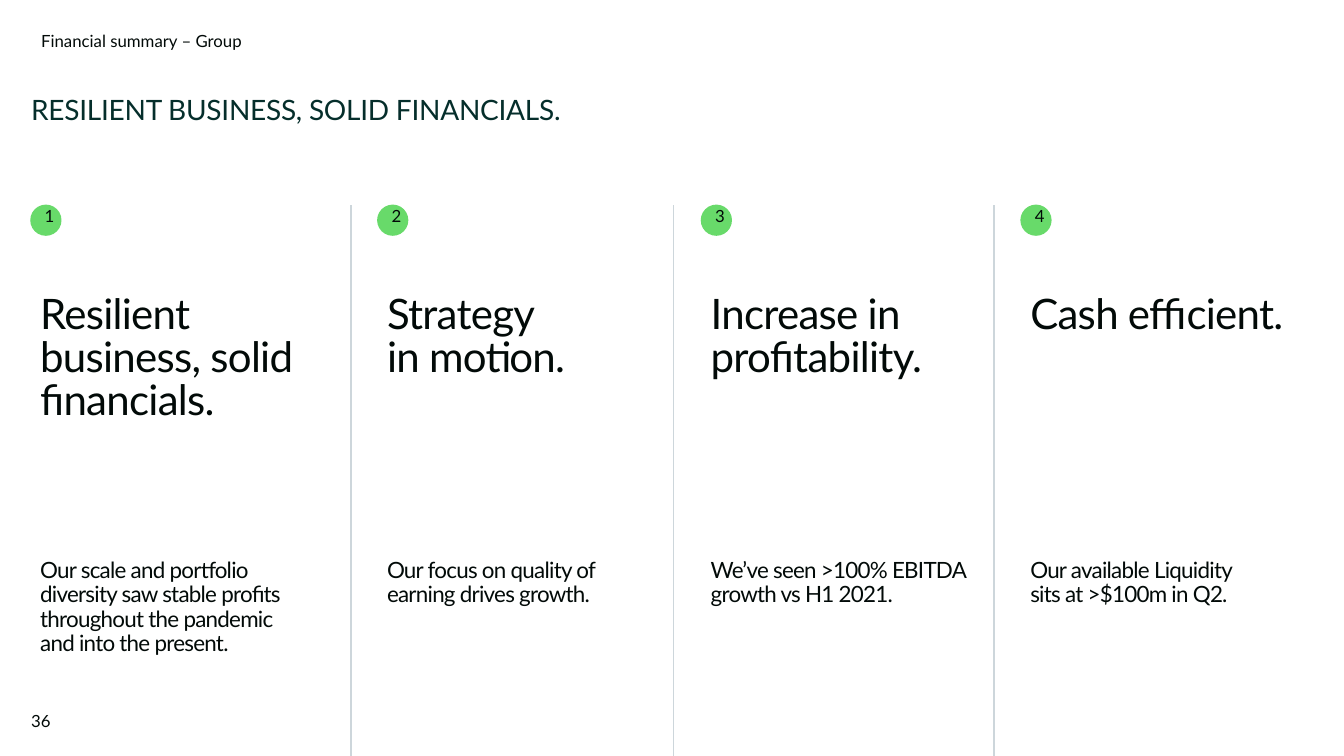
import pptx
import pptx.dml.color
import pptx.enum.shapes
import pptx.enum.text
import pptx.oxml
import pptx.util
from pptx.util import Inches

SECTION = "Financial summary – Group"
TITLE = "RESILIENT BUSINESS, SOLID FINANCIALS."
PAGE_NUMBER = "36"
# left edge, heading, message ("\v" breaks the line)
PILLARS = [
    (0.3, "Resilient business, solid financials.",
     "Our scale and portfolio\vdiversity saw stable profits throughout the pandemic\vand into the present."),
    (3.74, "Strategy\vin motion.", "Our focus on quality of earning drives growth."),
    (6.95, "Increase in profitability.", "We’ve seen >100% EBITDA growth vs H1 2021."),
    (10.12, "Cash efficient.", "Our available Liquidity\vsits at >$100m in Q2."),
]
DIVIDERS = [3.48, 6.68, 9.86]

SLIDE_WIDTH, SLIDE_HEIGHT = 13.33, 7.5
PILLAR_TOP, HEADING_TOP, MESSAGE_TOP = 2.03, 2.88, 5.5
PILLAR_WIDTH, BADGE_SIZE = 2.95, 0.31
INK, TITLE_GREEN, BADGE_GREEN, DIVIDER_GREY = "020A08", "052E2B", "68DA6A", "CDD6DB"

TEXT_INSETS = (0.1, 0.05, 0.1, 0.05)
BADGE_INSETS = (0.1, 0, 0.1, 0.05)
NO_INSETS = (0, 0, 0, 0)
MIDDLE = pptx.enum.text.MSO_ANCHOR.MIDDLE
GROW = pptx.enum.text.MSO_AUTO_SIZE.SHAPE_TO_FIT_TEXT

HEADING = {"line_spacing": 0.85, "space_after": pptx.util.Pt(12)}
MESSAGE = {"line_spacing": 0.9, "space_after": pptx.util.Pt(6)}
TIGHT = {"line_spacing": 0.9}
BADGE = {"line_spacing": 0.8, "alignment": pptx.enum.text.PP_ALIGN.CENTER}


def rgb(value):
    return pptx.dml.color.RGBColor.from_string(value)


def write(shape, text, size, paragraph_format, color=INK, spacing=0, insets=TEXT_INSETS, **frame_format):
    """Fill a shape with one paragraph; spacing is letter spacing in points."""
    frame = shape.text_frame
    frame.text = text
    frame.word_wrap = True
    for side, inset in zip(("left", "top", "right", "bottom"), insets):
        setattr(frame, f"margin_{side}", Inches(inset))
    for name, value in frame_format.items():
        setattr(frame, name, value)
    paragraph = frame.paragraphs[0]
    for name, value in paragraph_format.items():
        setattr(paragraph, name, value)
    for run in paragraph.runs:
        run.font.name = "Lato"
        run.font.size = pptx.util.Pt(size)
        run.font.color.rgb = rgb(color)
        if spacing:
            run.font._element.set("spc", str(round(spacing * 100)))


def add_text(slide, box, text, size, paragraph_format, **options):
    write(slide.shapes.add_textbox(*map(Inches, box)), text, size, paragraph_format, **options)


def add_badge(slide, left, number):
    badge = slide.shapes.add_shape(
        pptx.enum.shapes.MSO_SHAPE.OVAL,
        *map(Inches, (left, PILLAR_TOP, BADGE_SIZE, BADGE_SIZE)))
    badge.shadow.inherit = False
    badge.fill.solid()
    badge.fill.fore_color.rgb = rgb(BADGE_GREEN)
    badge.line.fill.background()
    write(badge, str(number), 12, BADGE, insets=BADGE_INSETS, vertical_anchor=MIDDLE)


def add_divider(slide, x):
    divider = slide.shapes.add_connector(
        pptx.enum.shapes.MSO_CONNECTOR.STRAIGHT,
        *map(Inches, (x, SLIDE_HEIGHT, x, PILLAR_TOP)))
    divider.line.color.rgb = rgb(DIVIDER_GREY)
    divider.line.width = pptx.util.Pt(1)
    divider._element.spPr.append(pptx.oxml.parse_xml(
        '<a:effectLst xmlns:a="http://schemas.openxmlformats.org/drawingml/2006/main"/>'))


def main():
    deck = pptx.Presentation()
    deck.slide_width, deck.slide_height = Inches(SLIDE_WIDTH), Inches(SLIDE_HEIGHT)
    slide = deck.slides.add_slide(deck.slide_layouts[6])

    add_text(slide, (0.31, 0.28, 3.95, 0.18), SECTION, 12, TIGHT, auto_size=GROW)
    add_text(slide, (0.31, 0.96, 6.3, 0.3), TITLE, 20, TIGHT, color=TITLE_GREEN,
             spacing=-0.2, insets=NO_INSETS, auto_size=GROW)
    for number, (left, heading, message) in enumerate(PILLARS, start=1):
        add_badge(slide, left, number)
        add_text(slide, (left, HEADING_TOP, PILLAR_WIDTH, 0.85), heading, 30, HEADING,
                 spacing=-0.5, auto_size=GROW)
        add_text(slide, (left, MESSAGE_TOP, PILLAR_WIDTH, 0.58), message, 16, MESSAGE,
                 spacing=-0.5, auto_size=GROW)
    for x in DIVIDERS:
        add_divider(slide, x)
    add_text(slide, (0.31, 6.95, 0.39, 0.4), PAGE_NUMBER, 12, {}, insets=NO_INSETS,
             vertical_anchor=MIDDLE)

    deck.save("out.pptx")


if __name__ == "__main__":
    main()
